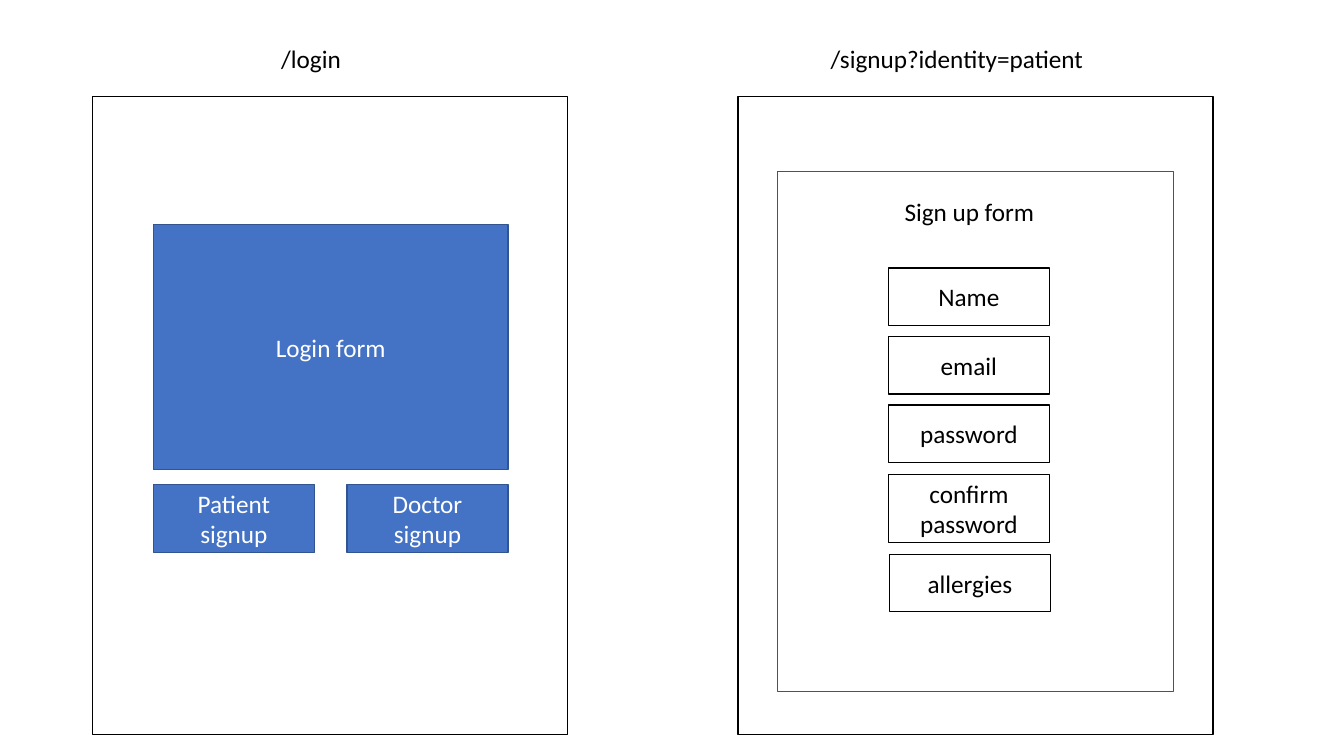
from pptx import Presentation
from pptx.dml.color import RGBColor
from pptx.enum.shapes import MSO_SHAPE
from pptx.enum.text import MSO_ANCHOR, MSO_AUTO_SIZE, PP_ALIGN
from pptx.util import Inches, Pt

BLACK = RGBColor(0x00, 0x00, 0x00)
WHITE = RGBColor(0xFF, 0xFF, 0xFF)
BLUE = RGBColor(0x44, 0x72, 0xC4)
DARK_BLUE = RGBColor(0x32, 0x54, 0x91)

ONE_LINE = 0.57   # box heights
TWO_LINES = 0.67

presentation = Presentation()
presentation.slide_width = Inches(13.33)
presentation.slide_height = Inches(7.5)
slide = presentation.slides.add_slide(presentation.slide_layouts[6])


def write(shape, text, color, alignment):
    shape.text_frame.word_wrap = True
    paragraph = shape.text_frame.paragraphs[0]
    paragraph.text = text
    paragraph.alignment = alignment
    paragraph.font.name = "Calibri"
    paragraph.font.size = Pt(18)
    paragraph.font.color.rgb = color


def add_box(left, top, width, height, line, fill=None, text="", color=BLACK):
    shape = slide.shapes.add_shape(
        MSO_SHAPE.RECTANGLE, Inches(left), Inches(top), Inches(width), Inches(height))
    shape.shadow.inherit = False
    shape.line.color.rgb = line
    shape.line.width = Pt(1)
    if fill is None:
        shape.fill.background()
    else:
        shape.fill.solid()
        shape.fill.fore_color.rgb = fill
    if text:
        shape.text_frame.vertical_anchor = MSO_ANCHOR.MIDDLE
        shape.text_frame.margin_top = shape.text_frame.margin_bottom = 0
        write(shape, text, color, PP_ALIGN.CENTER)


# Page frames
for left in (0.92, 7.32):
    add_box(left, 0.96, 4.71, 6.33, BLACK)

# Login page: form and signup buttons
add_box(1.52, 2.23, 3.52, 2.43, DARK_BLUE, BLUE, "Login form", WHITE)
for left, text in ((1.52, "Patient signup"), (3.44, "Doctor signup")):
    add_box(left, 4.81, 1.6, TWO_LINES, DARK_BLUE, BLUE, text, WHITE)

# Signup page: form panel and its fields
add_box(7.71, 1.7, 3.93, 5.16, DARK_BLUE)
fields = [
    (8.81, 2.66, ONE_LINE, "Name"),
    (8.81, 3.34, ONE_LINE, "email"),
    (8.81, 4.02, ONE_LINE, "password"),
    (8.81, 4.71, TWO_LINES, "confirm password"),
    (8.82, 5.5, ONE_LINE, "allergies"),
]
for left, top, height, text in fields:
    add_box(left, top, 1.6, height, BLACK, WHITE, text)

# Page addresses and form title
labels = [
    (2.69, 0.38, 0.88, "/login", PP_ALIGN.LEFT),
    (8.14, 0.38, 2.81, "/signup?identity=patient", PP_ALIGN.LEFT),
    (8.48, 1.9, 2.27, "Sign up form", PP_ALIGN.CENTER),
]
for left, top, width, text, alignment in labels:
    label = slide.shapes.add_textbox(Inches(left), Inches(top), Inches(width), Inches(0.4))
    label.text_frame.auto_size = MSO_AUTO_SIZE.SHAPE_TO_FIT_TEXT
    write(label, text, BLACK, alignment)

presentation.save("out.pptx")
